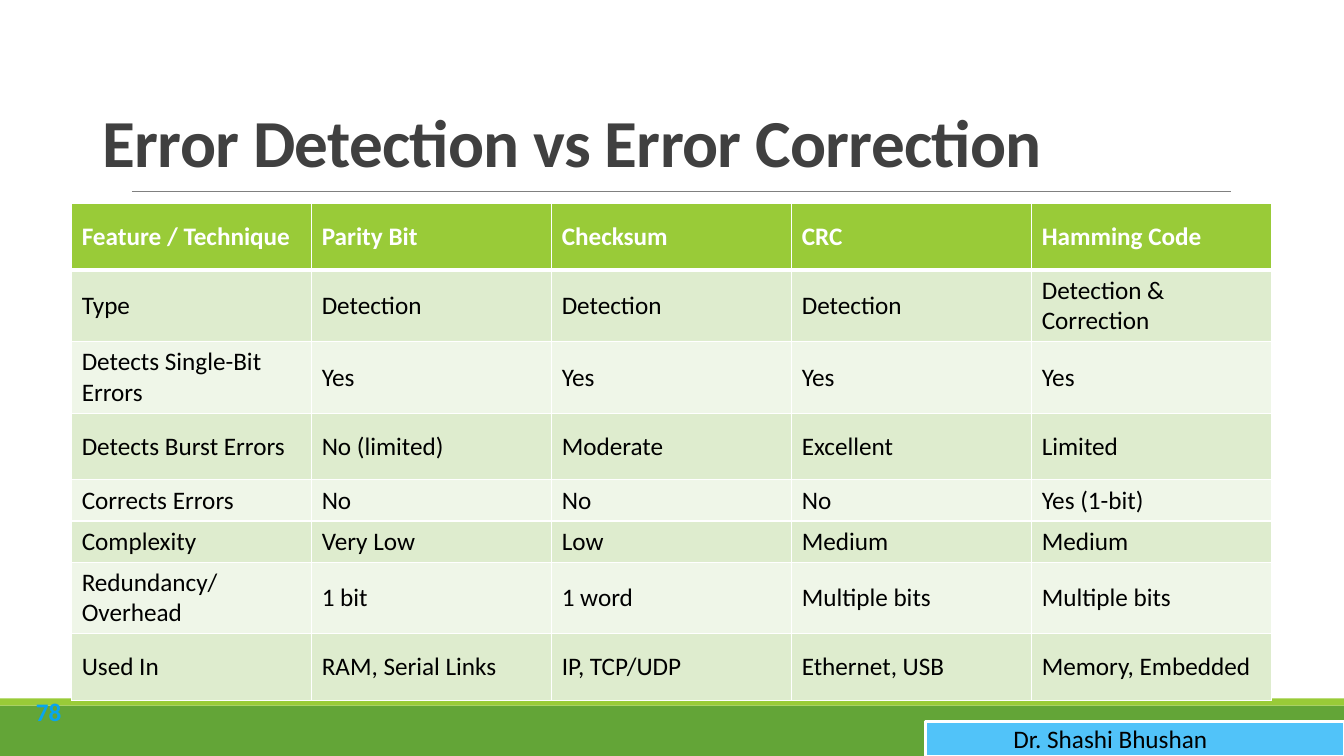
from lxml import etree
from pptx import Presentation
from pptx import util as u
from pptx.dml.color import RGBColor
from pptx.enum import shapes, text
from pptx.oxml import ns

Pt = u.Pt
WHITE = RGBColor(0xFF, 0xFF, 0xFF)
BLACK = RGBColor(0, 0, 0)
DARK_GREEN = RGBColor(0x63, 0xA5, 0x37)
GREEN = RGBColor(0x99, 0xCB, 0x38)
BANDS = (RGBColor(0xEF, 0xF6, 0xE8), RGBColor(0xDE, 0xEC, 0xCE))
RULE_GRAY = RGBColor(0x80, 0x80, 0x80)
TITLE_GRAY = RGBColor(0x40, 0x40, 0x40)
SKY = RGBColor(0x51, 0xC3, 0xF9)
NUMBER_BLUE = RGBColor(0x08, 0xA5, 0xEF)

COLUMN_WIDTH = 171.45
TWO_LINE, MEDIUM, ONE_LINE = 51.1, 47.6, 29.4
COMPARISON = (
    (MEDIUM, ("Feature / Technique", "Parity Bit", "Checksum", "CRC", "Hamming Code")),
    (TWO_LINE, ("Type", "Detection", "Detection", "Detection", "Detection & Correction")),
    (TWO_LINE, ("Detects Single-Bit Errors", "Yes", "Yes", "Yes", "Yes")),
    (MEDIUM, ("Detects Burst Errors", "No (limited)", "Moderate", "Excellent", "Limited")),
    (ONE_LINE, ("Corrects Errors", "No", "No", "No", "Yes (1-bit)")),
    (ONE_LINE, ("Complexity", "Very Low", "Low", "Medium", "Medium")),
    (TWO_LINE, ("Redundancy/Overhead", "1 bit", "1 word", "Multiple bits", "Multiple bits")),
    (MEDIUM, ("Used In", "RAM, Serial Links", "IP, TCP/UDP", "Ethernet, USB", "Memory, Embedded")),
)


def add_words(paragraph, words, size, color, bold=False):
    """Add one styled run and return it."""
    run = paragraph.add_run()
    run.text = words
    run.font.name = "Calibri"
    run.font.size = Pt(size)
    run.font.bold = bold
    run.font.color.rgb = color
    return run


def add_bar(slide, left, top, width, height, fill, outline=None):
    """Add a flat rectangle, outlined if a colour is given."""
    bar = slide.shapes.add_shape(
        shapes.MSO_SHAPE.RECTANGLE, Pt(left), Pt(top), Pt(width), Pt(height))
    bar.shadow.inherit = False
    bar.fill.solid()
    bar.fill.fore_color.rgb = fill
    if outline is None:
        bar.line.fill.background()
    else:
        bar.line.color.rgb = outline
        bar.line.width = Pt(2)


def add_rule(slide, left, right, y):
    """Add the thin horizontal line under the title."""
    rule = slide.shapes.add_connector(
        shapes.MSO_CONNECTOR.STRAIGHT, Pt(left), Pt(y), Pt(right), Pt(y))
    rule.line.color.rgb = RULE_GRAY
    rule.line.width = Pt(0.5)
    etree.SubElement(rule._element.spPr, ns.qn("a:effectLst"))


def add_label(slide, left, top, width, height, anchor, align):
    """Add a wrapping text box and return its first paragraph."""
    frame = slide.shapes.add_textbox(Pt(left), Pt(top), Pt(width), Pt(height)).text_frame
    frame.word_wrap = True
    frame.vertical_anchor = anchor
    frame.paragraphs[0].alignment = align
    return frame.paragraphs[0]


def add_border(cell, side, width):
    """Draw one white edge of a table cell."""
    edge = etree.SubElement(
        cell._tc.get_or_add_tcPr(), ns.qn(f"a:ln{side}"), w=str(Pt(width)))
    paint = etree.SubElement(edge, ns.qn("a:solidFill"))
    etree.SubElement(paint, ns.qn("a:srgbClr"), val=str(WHITE))


def fill_cell(cell, words, row):
    """Style and fill one cell according to its row."""
    header = row == 0
    cell.vertical_anchor = text.MSO_ANCHOR.MIDDLE
    widths = {"L": 1, "R": 1, "T": 3 if row == 1 else 1, "B": 3 if header else 1}
    for side, width in widths.items():
        add_border(cell, side, width)
    cell.fill.solid()
    cell.fill.fore_color.rgb = GREEN if header else BANDS[row % 2]
    add_words(cell.text_frame.paragraphs[0], words, 18, WHITE if header else BLACK, header)


def add_comparison(slide, left, top):
    """Add the table of techniques."""
    columns = len(COMPARISON[0][1])
    total = sum(height for height, _ in COMPARISON)
    table = slide.shapes.add_table(
        len(COMPARISON), columns, Pt(left), Pt(top),
        Pt(COLUMN_WIDTH * columns), Pt(total)).table
    for column in table.columns:
        column.width = Pt(COLUMN_WIDTH)
    for row, (height, entries) in enumerate(COMPARISON):
        table.rows[row].height = Pt(height)
        for column, words in enumerate(entries):
            fill_cell(table.cell(row, column), words, row)


def main():
    """Build the slide and save it."""
    deck = Presentation()
    deck.slide_width, deck.slide_height = Pt(960), Pt(540)
    slide = deck.slides.add_slide(deck.slide_layouts[6])
    anchor, align = text.MSO_ANCHOR, text.PP_ALIGN

    add_bar(slide, 0, 504, 960, 36, DARK_GREEN)
    add_bar(slide, 0, 498.8, 960, 5.2, GREEN)
    add_rule(slide, 94.3, 879, 136.8)

    title = add_label(slide, 66.2, 28.8, 775.4, 104.4, anchor.BOTTOM, align.LEFT)
    title.line_spacing = 0.85
    heading = add_words(title, "Error Detection vs Error Correction", 48, TITLE_GRAY, True)
    heading.font._element.set("spc", "-50")

    add_bar(slide, 661, 515.6, 299, 24.4, SKY, WHITE)
    author = add_label(slide, 661, 513.4, 264.2, 29, anchor.TOP, align.CENTER)
    add_words(author, "Dr. Shashi Bhushan", 18, BLACK)
    number = add_label(slide, 15, 489.6, 39.6, 36.7, anchor.MIDDLE, align.CENTER)
    add_words(number, "78", 18, NUMBER_BLUE, True)

    add_comparison(slide, 51.2, 145.4)
    deck.save("out.pptx")


if __name__ == "__main__":
    main()
